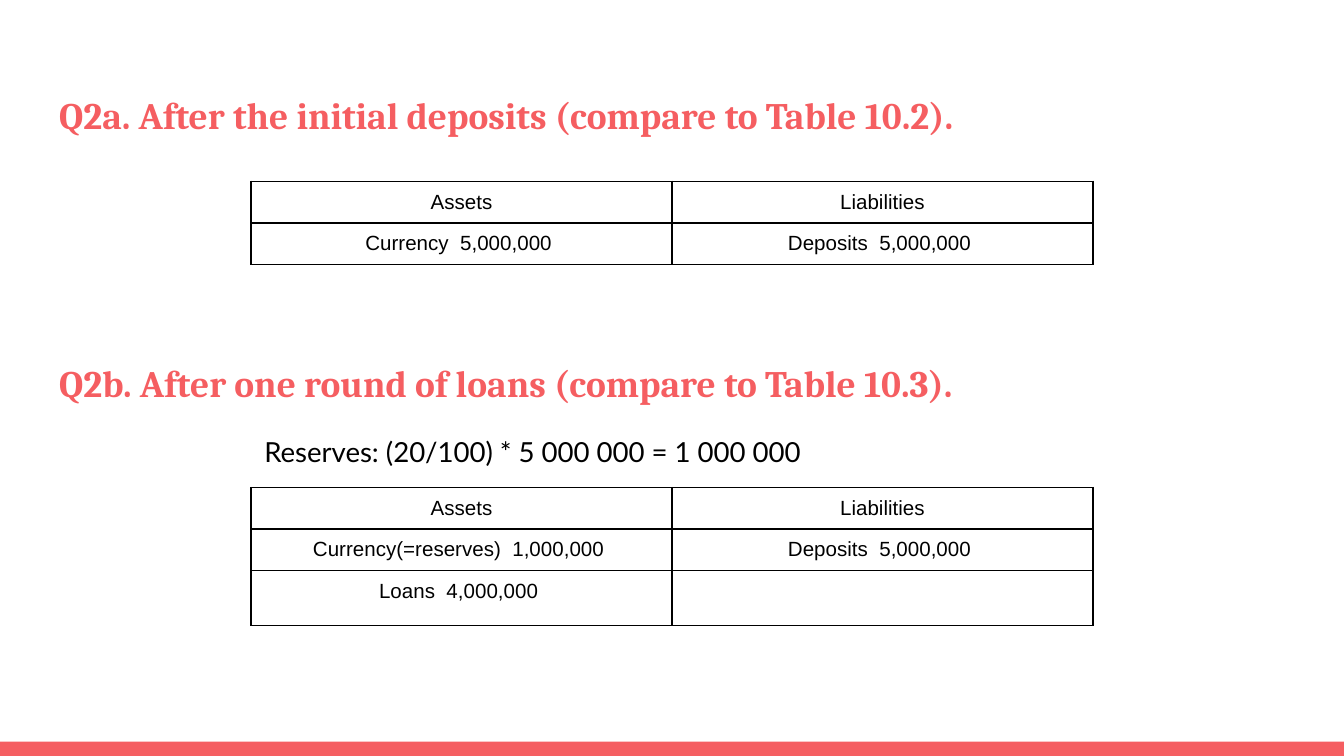
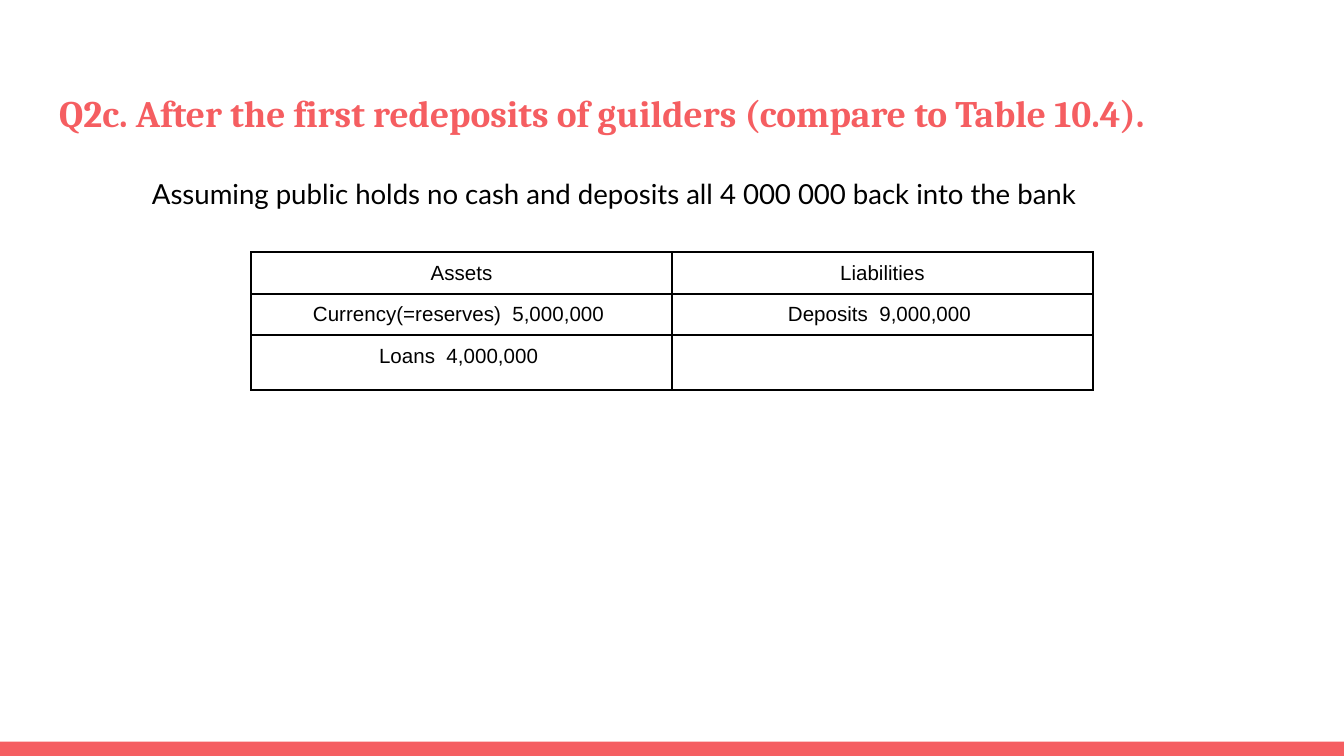
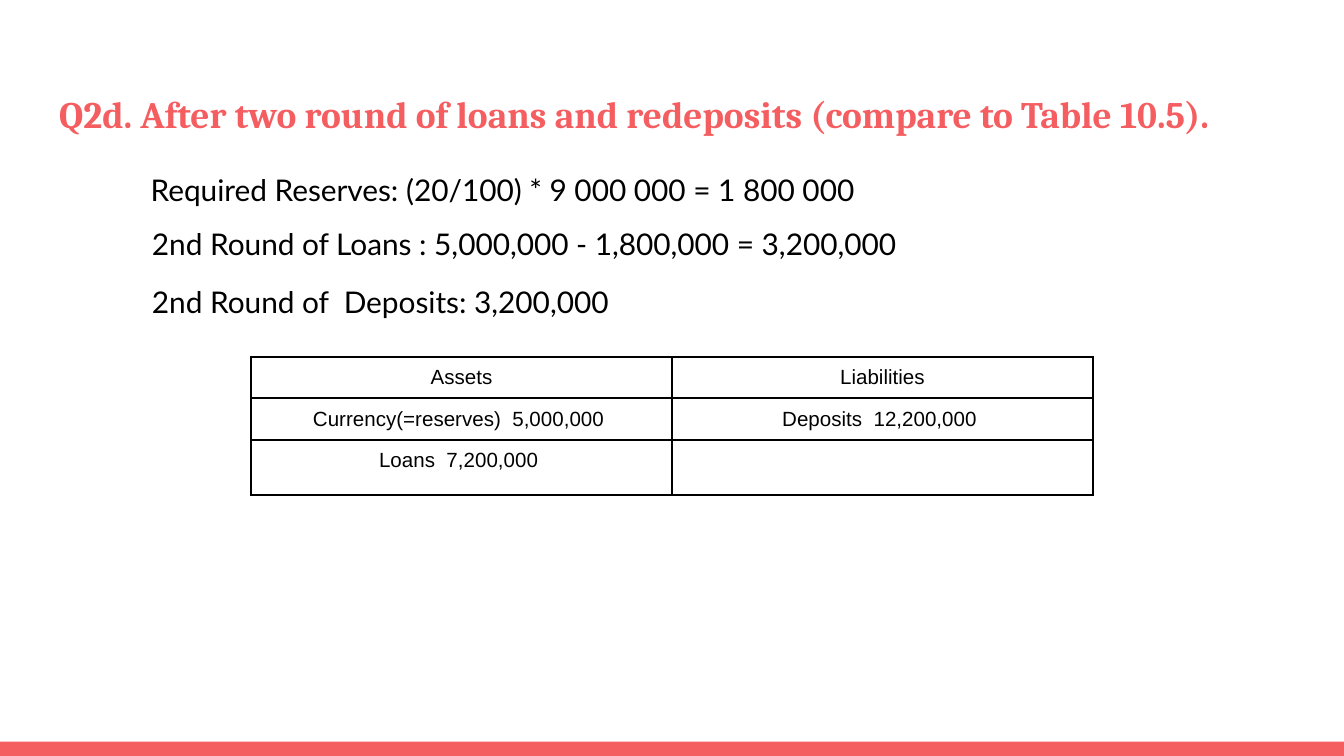
from lxml.etree import SubElement as Sub
from pptx import Presentation
from pptx.dml.color import RGBColor
from pptx.enum.shapes import MSO_SHAPE as Kind
from pptx.enum.text import MSO_ANCHOR as Anchor, MSO_AUTO_SIZE as Fit, PP_ALIGN as Align
from pptx.oxml import parse_xml
from pptx.oxml.ns import nsdecls, qn
from pptx.util import Pt

WIDE, HIGH = 720, 405
CORAL, BLACK = "F55E61", "000000"
HEAD = dict(name="Cambria", size=Pt(20), bold=True)
NOTE = dict(name="Lato", size=Pt(14.8), bold=False)
STEP = dict(NOTE, size=Pt(16))
CELL = dict(name="Arial", size=Pt(11), bold=False)
FRAME = dict(word_wrap=True, auto_size=Fit.NONE, vertical_anchor=Anchor.TOP,
             margin_left=Pt(7.2), margin_right=Pt(7.2),
             margin_top=Pt(7.2), margin_bottom=Pt(7.2))
INSET = dict(margin_left=Pt(5), margin_right=Pt(5), margin_top=Pt(5),
             margin_bottom=Pt(5), vertical_anchor=Anchor.TOP)
PLAIN = dict(first_row=False, horz_banding=False)
SQUARE = dict(width=Pt(236.2), height=Pt(236.2))
ROWS = [22.25, 22.25, 29.5]
LEDGER_X, LEDGER_W = 134.5, 451
HEAD_W, HEAD_H = 671, 46.8
NOTE_W, NOTE_H = 560, 32.4


def color(code):
    return RGBColor.from_string(code)


def apply(item, values):
    for key, value in values.items():
        setattr(item, key, value)


def style(par, look, code, align):
    apply(par.font, look)
    par.font.color.rgb = color(code)
    par.alignment = align


def fill_text(holder, box, lines, look, code, spacing):
    holder.left, holder.top, holder.width, holder.height = map(Pt, box)
    frame = holder.text_frame
    frame.text = "\n".join(lines)
    apply(frame, FRAME)
    for i, par in enumerate(frame.paragraphs):
        props = par._p.get_or_add_pPr()
        props.set("marL", "0")
        props.set("indent", "0")
        Sub(props, qn("a:buNone"))
        par.line_spacing = spacing
        par.space_before = Pt(12 if i else 0)
        par.space_after = Pt(0)
        style(par, look, code, Align.JUSTIFY)


def add_head(holder, top, text):
    fill_text(holder, (24.5, top, HEAD_W, HEAD_H), [text], HEAD, CORAL, 1)


def add_note(holder, left, top, lines, look=NOTE, spacing=1.15, high=NOTE_H):
    fill_text(holder, (left, top, NOTE_W, high), lines, look, BLACK, spacing)


def add_edges(cell):
    props = cell._tc.get_or_add_tcPr()
    for i, side in enumerate("LRTB"):
        edge = parse_xml(
            f'<a:ln{side} {nsdecls("a")} w="12700"><a:solidFill>'
            f'<a:srgbClr val="{BLACK}"/></a:solidFill></a:ln{side}>')
        props.insert(i, edge)


def add_ledger(slide, top, *rows):
    rows = [("Assets", "Liabilities"), *rows]
    highs = ROWS[:len(rows)]
    holder = slide.shapes.add_table(
        len(rows), 2, Pt(LEDGER_X), Pt(top), Pt(LEDGER_W), Pt(sum(highs)))
    table = holder.table
    apply(table, PLAIN)
    for col in table.columns:
        col.width = Pt(LEDGER_W / 2)
    for row, high, texts in zip(table.rows, highs, rows):
        row.height = Pt(high)
        for cell, text in zip(row.cells, texts):
            cell.fill.background()
            add_edges(cell)
            if text:
                apply(cell, INSET)
                cell.text = text
                style(cell.text_frame.paragraphs[0], CELL, BLACK, Align.CENTER)
    apply(holder, SQUARE)


def add_band(prs, slide):
    band = slide.shapes.add_shape(
        Kind.RECTANGLE, 0, Pt(HIGH - 7.6), Pt(WIDE), Pt(7.6))
    band.shadow.inherit = False
    band.fill.solid()
    band.fill.fore_color.rgb = color(CORAL)
    band.line.fill.background()
    band.element.nvSpPr.cNvPr.set("id", "99")
    prs.slide_master.shapes.element.insert(2, band.element)


def new_slide(prs):
    slide = prs.slides.add_slide(prs.slide_layouts[3])
    return slide, list(slide.placeholders)


def loan_slide(prs):
    slide, (head, next_head, note) = new_slide(prs)
    add_band(prs, slide)
    add_head(head, 42.2, "Q2a. After the initial deposits (compare to Table 10.2). ")
    add_ledger(slide, 97.2, ("Currency  5,000,000 ", "Deposits  5,000,000 "))
    add_head(next_head, 185.6, "Q2b. After one round of loans (compare to Table 10.3). ")
    add_note(note, 134.4, 223.2, ["Reserves: (20/100) * 5 000 000 = 1 000 000"])
    add_ledger(slide, 261.2,
               ("Currency(=reserves)  1,000,000 ", "Deposits  5,000,000 "),
               ("Loans  4,000,000 ", ""))


def deposit_slide(prs):
    slide, (head, note, spare) = new_slide(prs)
    spare.element.getparent().remove(spare.element)
    add_head(head, 41,
             "Q2c. After the first redeposits of guilders (compare to Table 10.4). ")
    add_note(note, 74.2, 85, [
        "Assuming public holds no cash and deposits all 4 000 000 back into the bank"])
    add_ledger(slide, 135.1,
               ("Currency(=reserves)  5,000,000 ", "Deposits  9,000,000 "),
               ("Loans  4,000,000 ", ""))


def round_slide(prs):
    slide, (head, need, steps) = new_slide(prs)
    add_head(head, 41.8,
             "Q2d. After two round of loans and redeposits (compare to Table 10.5). ")
    add_note(need, 73.5, 82,
             ["Required Reserves: (20/100) * 9 000 000 = 1 800 000"], STEP)
    add_note(steps, 74.2, 113.8, [
        "2nd Round of Loans : 5,000,000 - 1,800,000 = 3,200,000",
        "2nd Round of  Deposits: 3,200,000"], STEP, 1, 66.2)
    add_ledger(slide, 191.1,
               ("Currency(=reserves)  5,000,000 ", "Deposits  12,200,000 "),
               ("Loans  7,200,000 ", ""))


def main():
    prs = Presentation()
    prs.slide_width, prs.slide_height = Pt(WIDE), Pt(HIGH)
    for build in (loan_slide, deposit_slide, round_slide):
        build(prs)
    prs.save("out.pptx")


if __name__ == "__main__":
    main()
